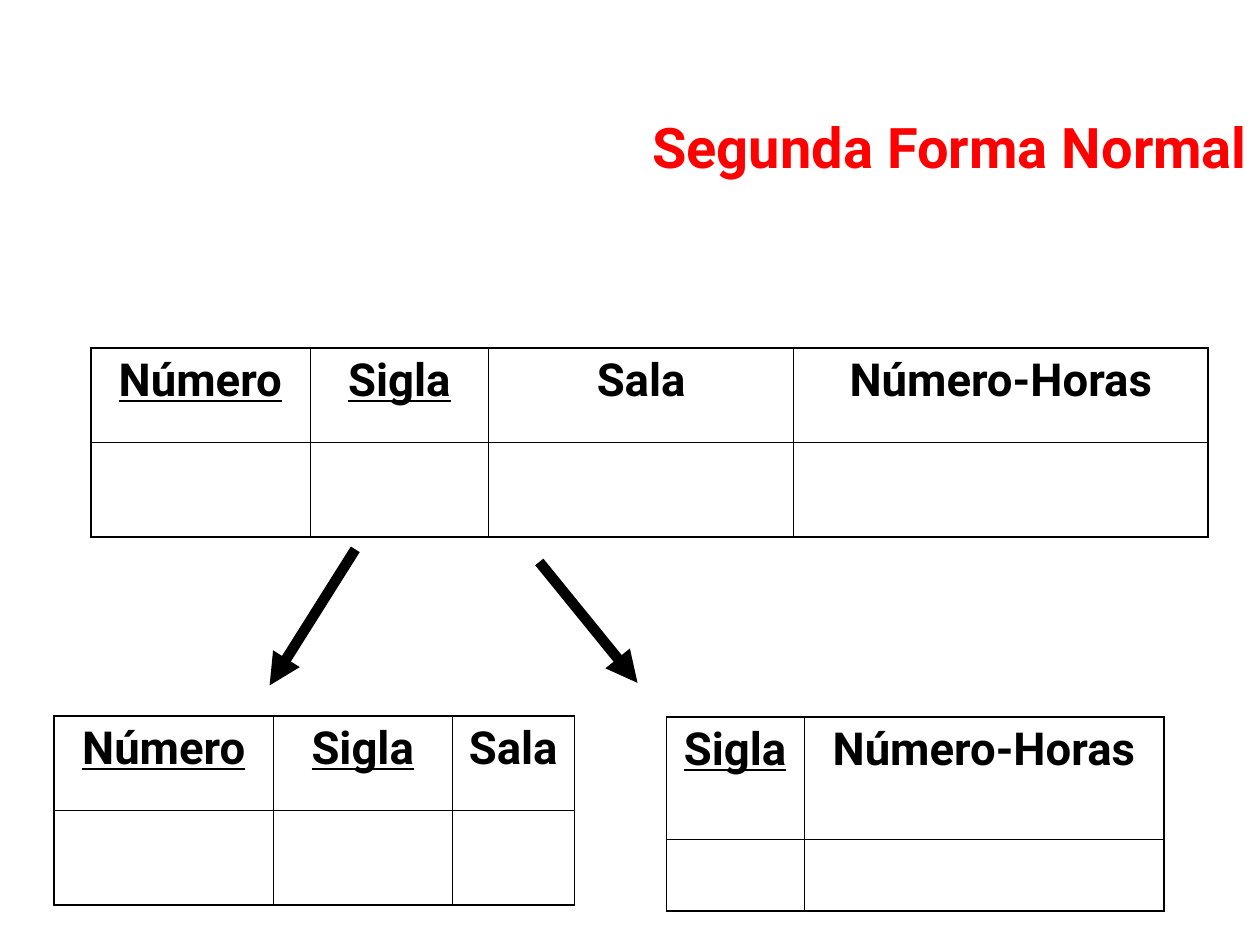
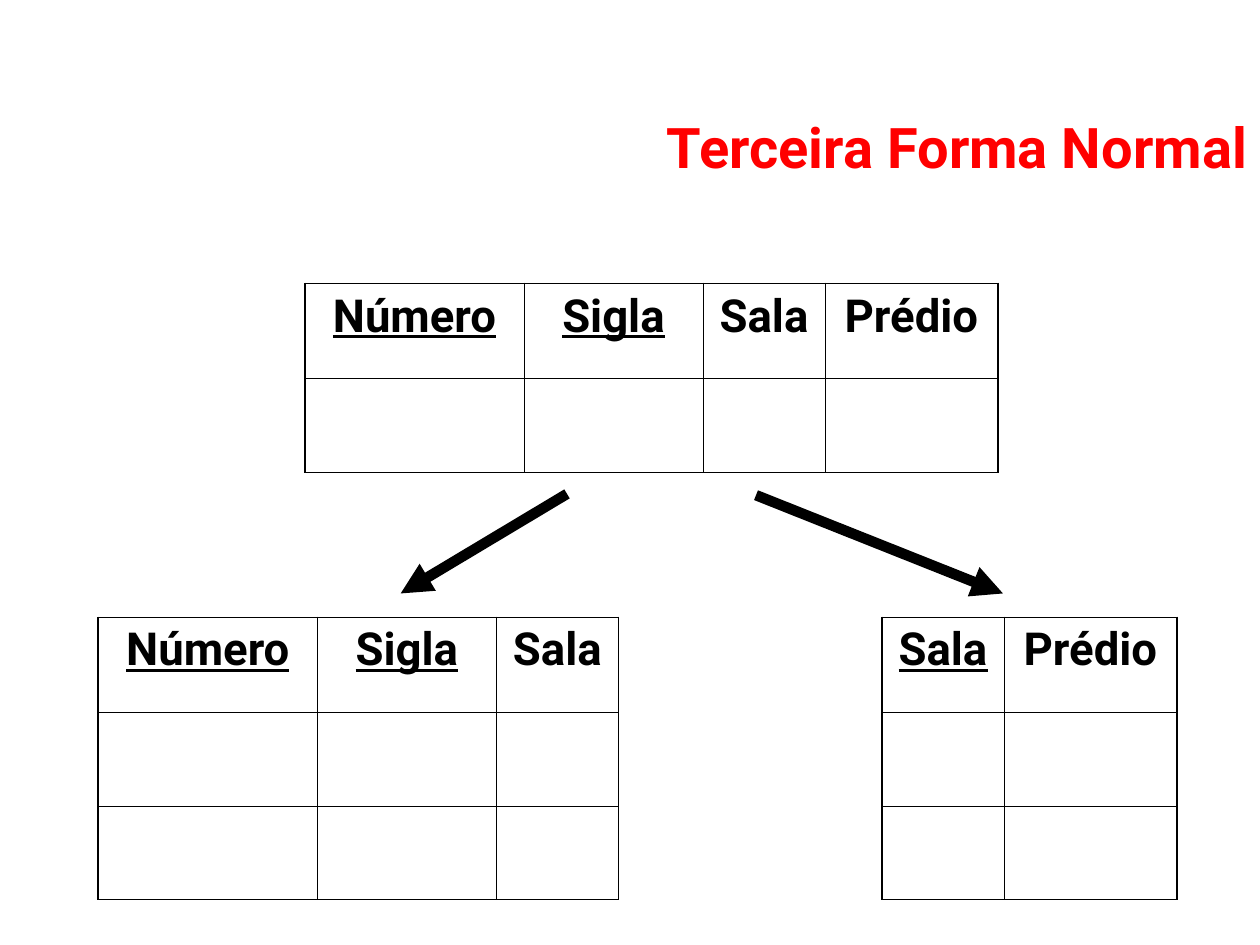
import dataclasses
import lxml.etree
import pptx
import pptx.dml.color
import pptx.enum.shapes
import pptx.enum.text
import pptx.oxml.ns
import pptx.util


@dataclasses.dataclass(frozen=True)
class Theme:
    font: str = "Roboto"
    title: str = "FF0000"
    ink: str = "000000"
    paper: str = "FFFFFF"
    head: float = 32
    body: float = 26
    thin: float = 0.45
    edge: float = 1.08
    arrow: float = 6


THEME = Theme()
COLS, ROWS = 100, 75
UNIT = pptx.util.Inches(0.1)
FIELDS = {"Número": 17.4, "Sigla": 14.2, "Sala": 9.7, "Prédio": 13.7}
ALIGN = pptx.enum.text.PP_ALIGN
rgb = pptx.dml.color.RGBColor.from_string
qn = pptx.oxml.ns.qn


def grid(*cells):
    """Turn grid columns and rows into slide lengths."""
    return [round(n * UNIT) for n in cells]


def write(frame, words, size=THEME.body, color=THEME.ink,
          align=ALIGN.CENTER, line=False):
    frame.word_wrap = True
    para = frame.paragraphs[0]
    para.alignment = align
    run = para.add_run()
    run.text = words
    font = run.font
    font.name, font.size, font.bold = THEME.font, pptx.util.Pt(size), True
    font.underline = line
    font.color.rgb = rgb(color)


def title(slide, box, words):
    frame = slide.shapes.add_textbox(*grid(*box)).text_frame
    write(frame, words, size=THEME.head, color=THEME.title, align=ALIGN.RIGHT)


def border(cell, outer):
    """Rule all four sides, heavier on the sides named in outer."""
    props = cell._tc.get_or_add_tcPr()
    for side in "LRTB":
        width = THEME.edge if side in outer else THEME.thin
        line = lxml.etree.SubElement(props, qn("a:ln" + side),
                                     w=str(pptx.util.Pt(width)))
        fill = lxml.etree.SubElement(line, qn("a:solidFill"))
        lxml.etree.SubElement(fill, qn("a:srgbClr"), val=THEME.ink)


def table(slide, spot, names, keys, rows, cols=None):
    """Draw a relation at spot; its first `keys` fields are underlined."""
    cols = cols or [FIELDS[name] for name in names]
    box = grid(*spot, sum(cols), sum(rows))
    sheet = slide.shapes.add_table(len(rows), len(cols), *box).table
    sheet.first_row = sheet.horz_banding = False
    for col, width in zip(sheet.columns, grid(*cols)):
        col.width = width
    for row, height in zip(sheet.rows, grid(*rows)):
        row.height = height
    for r in range(len(rows)):
        for c, name in enumerate(names):
            cell = sheet.cell(r, c)
            sides = {"L": c == 0, "R": c == len(cols) - 1,
                     "T": r == 0, "B": r == len(rows) - 1}
            border(cell, [side for side, on in sides.items() if on])
            cell.fill.solid()
            cell.fill.fore_color.rgb = rgb(THEME.paper)
            if r == 0:
                write(cell.text_frame, name, line=c < keys)


def arrow(slide, ends):
    kind = pptx.enum.shapes.MSO_CONNECTOR.STRAIGHT
    link = slide.shapes.add_connector(kind, *grid(*ends))
    link.line.width = pptx.util.Pt(THEME.arrow)
    link.line.color.rgb = rgb(THEME.ink)
    line = link.line._get_or_add_ln()
    lxml.etree.SubElement(line, qn("a:tailEnd"), type="triangle")
    lxml.etree.SubElement(link._element.spPr, qn("a:effectLst"))


def split(deck, heading, tables, arrows):
    """Add a slide that splits one relation into two."""
    slide = deck.slides.add_slide(deck.slide_layouts[6])
    title(slide, (3.6, 8.4, COLS - 3.6, 50), heading)
    for parts in tables:
        table(slide, **parts)
    for ends in arrows:
        arrow(slide, ends)


def main():
    deck = pptx.Presentation()
    deck.slide_width, deck.slide_height = grid(COLS, ROWS)
    two, three = [7.5] * 2, [7.5, 7.5, 7.4]
    lesson = ["Número", "Sigla", "Sala"]
    split(deck, "Segunda Forma Normal", [
        dict(spot=(7.2, 27.6), names=lesson + ["Número-Horas"], keys=2,
             rows=two, cols=[17.4, 14.2, 24.2, 32.9]),
        dict(spot=(4.3, 56.8), names=lesson, keys=2, rows=two),
        dict(spot=(52.9, 56.9), names=["Sigla", "Número-Horas"], keys=1,
             rows=[9.7, 5.7], cols=[10.9, 28.6]),
    ], [(28.2, 43.6, 21.4, 54.4), (42.8, 44.6, 50.6, 54.2)])
    split(deck, "Terceira Forma Normal", [
        dict(spot=(24.2, 22.5), names=lesson + ["Prédio"], keys=2, rows=two),
        dict(spot=(7.8, 49), names=lesson, keys=2, rows=three),
        dict(spot=(70, 49), names=["Sala", "Prédio"], keys=1, rows=three),
    ], [(45, 39.2, 31.8, 47.1), (60, 39.3, 79.6, 47.1)])
    deck.save("out.pptx")


if __name__ == "__main__":
    main()
